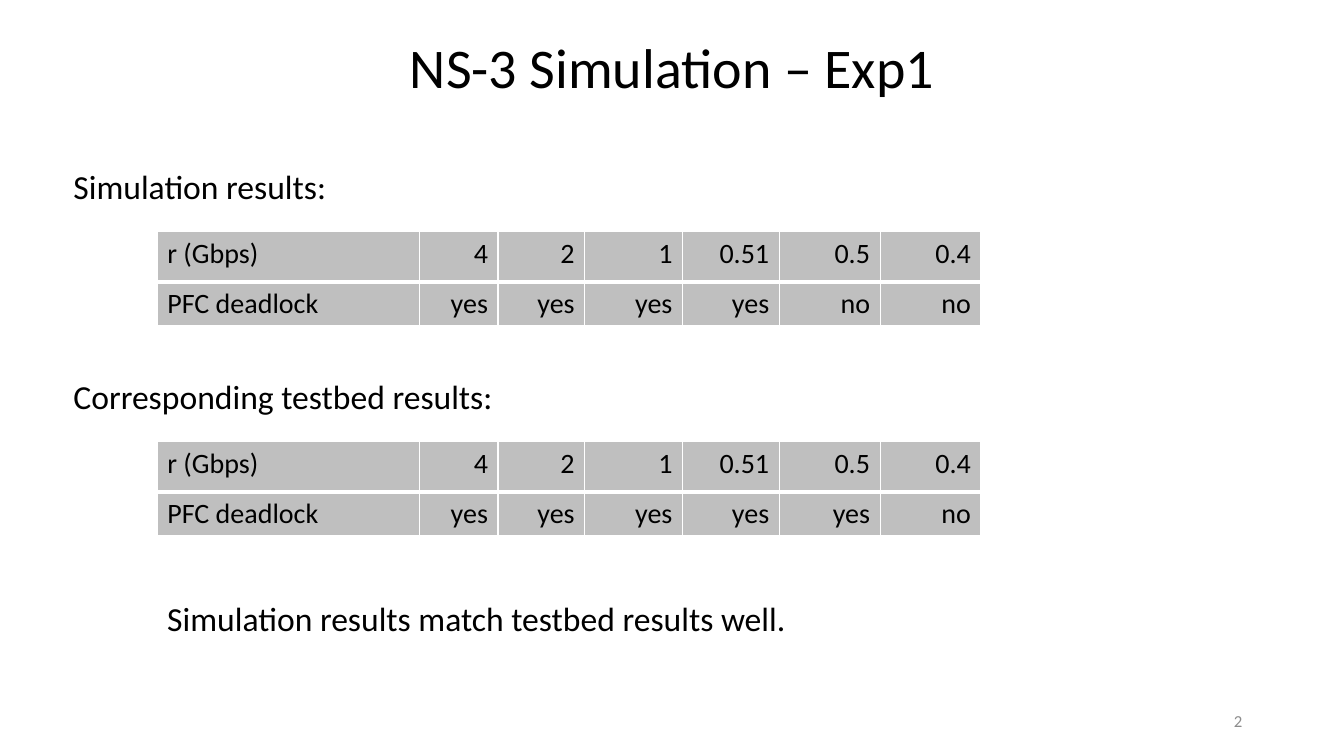
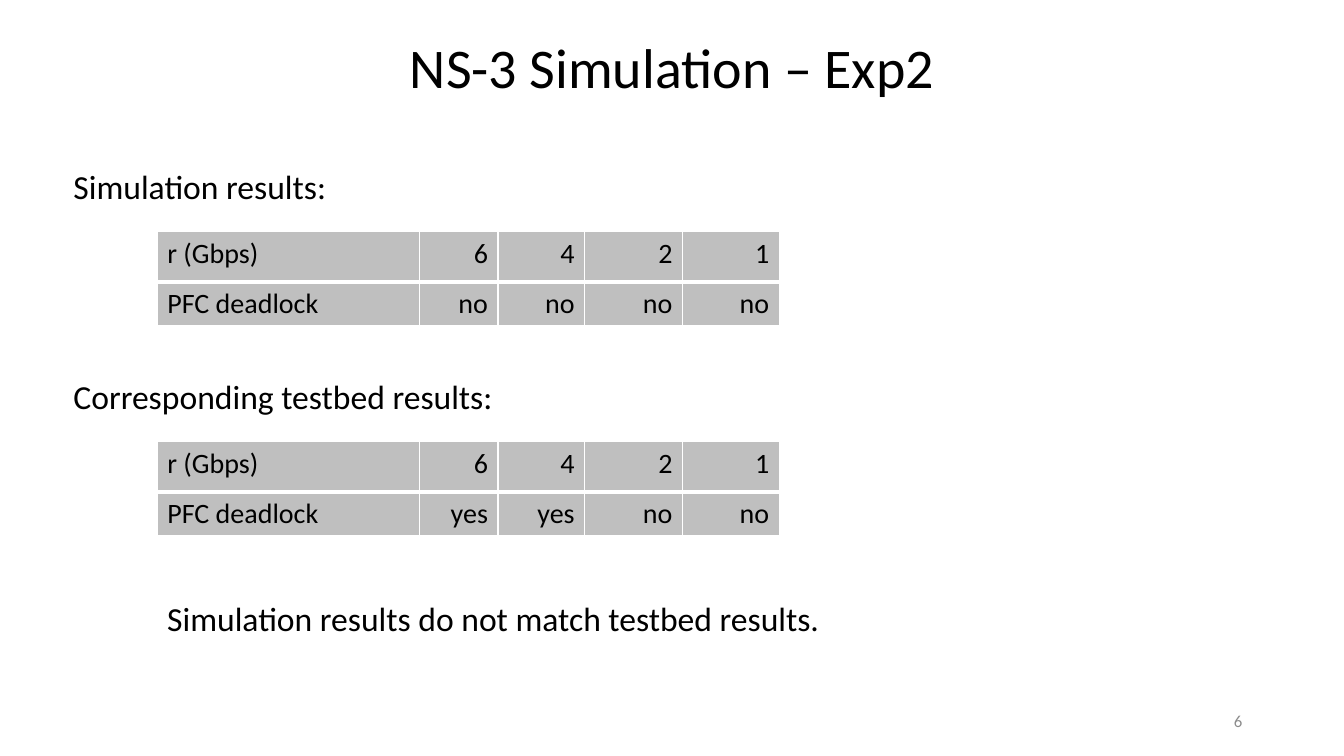
"""Build two slides that compare simulated and testbed deadlock results."""
import pptx
import pptx.dml.color
import pptx.enum.text
import pptx.oxml
import pptx.oxml.ns
import pptx.util

Inches = pptx.util.Inches
Pt = pptx.util.Pt
RGBColor = pptx.dml.color.RGBColor
Align = pptx.enum.text.PP_ALIGN
Anchor = pptx.enum.text.MSO_ANCHOR
AutoSize = pptx.enum.text.MSO_AUTO_SIZE

BLACK = RGBColor(0x00, 0x00, 0x00)
WHITE = RGBColor(0xFF, 0xFF, 0xFF)
CELL_GRAY = RGBColor(0xBF, 0xBF, 0xBF)
NUMBER_GRAY = RGBColor(0x8C, 0x8C, 0x8C)
FONT = "Calibri"
COLUMN_WIDTHS = [2.6, 0.78, 0.86, 0.97, 0.96, 1, 1]
ROW_HEIGHTS = [0.5, 0.43]


class Deck:
    """Hold the presentation, its style and the current slide."""

    def __init__(self):
        self.presentation = pptx.Presentation()
        self.presentation.slide_width = Inches(13.33)
        self.presentation.slide_height = Inches(7.5)
        self.slide = None

    def format_text(self, text_frame, text, size, color=BLACK, alignment=Align.LEFT):
        """Write one paragraph in the deck font."""
        text_frame.text = text
        paragraph = text_frame.paragraphs[0]
        paragraph.alignment = alignment
        paragraph.font.name = FONT
        paragraph.font.size = Pt(size)
        paragraph.font.color.rgb = color

    def add_slide(self, title, number):
        """Start a slide with its title and number."""
        layout = self.presentation.slide_layouts.get_by_name("Title Only")
        self.slide = self.presentation.slides.add_slide(layout)
        shape = self.slide.shapes.title
        shape.left, shape.top = Inches(1.72), Inches(0.27)
        shape.width, shape.height = Inches(9.89), Inches(0.77)
        shape.text_frame.vertical_anchor = Anchor.TOP
        shape.text_frame.auto_size = AutoSize.NONE
        self.format_text(shape.text_frame, title, 40, alignment=Align.CENTER)
        shape = self.slide.shapes.add_textbox(
            Inches(9.42), Inches(6.95), Inches(3), Inches(0.4))
        shape.text_frame.word_wrap = True
        shape.text_frame.vertical_anchor = Anchor.MIDDLE
        self.format_text(shape.text_frame, str(number), 12, NUMBER_GRAY, Align.RIGHT)

    def add_label(self, text, left, top, width):
        """Add a single line of body text."""
        shape = self.slide.shapes.add_textbox(
            Inches(left), Inches(top), Inches(width), Inches(0.5))
        shape.text_frame.word_wrap = False
        shape.text_frame.auto_size = AutoSize.SHAPE_TO_FIT_TEXT
        self.format_text(shape.text_frame, text, 24)

    def add_borders(self, cell, bottom_width):
        """Draw white lines on the four sides of a cell."""
        properties = cell._tc.get_or_add_tcPr()
        for side, width in (("L", 1), ("R", 1), ("T", 1), ("B", bottom_width)):
            properties.append(pptx.oxml.parse_xml(
                f'<a:ln{side} {pptx.oxml.ns.nsdecls("a")} w="{Pt(width)}">'
                f'<a:solidFill><a:srgbClr val="{WHITE}"/></a:solidFill></a:ln{side}>'))

    def add_results(self, top, rates, deadlocks):
        """Add a table of rates and their deadlock outcomes."""
        rows = [["r (Gbps)", *rates], ["PFC deadlock", *deadlocks]]
        widths = COLUMN_WIDTHS[:len(rows[0])]
        table = self.slide.shapes.add_table(
            len(rows), len(widths), Inches(1.56), Inches(top),
            Inches(sum(widths)), Inches(sum(ROW_HEIGHTS))).table
        table.first_row = False
        table.horz_banding = False
        for column, width in zip(table.columns, widths):
            column.width = Inches(width)
        for row_index, values in enumerate(rows):
            table.rows[row_index].height = Inches(ROW_HEIGHTS[row_index])
            for column_index, value in enumerate(values):
                cell = table.cell(row_index, column_index)
                self.add_borders(cell, 3 if row_index == 0 else 1)
                cell.fill.solid()
                cell.fill.fore_color.rgb = CELL_GRAY
                alignment = Align.RIGHT if column_index else Align.LEFT
                self.format_text(cell.text_frame, value, 20, alignment=alignment)

    def add_experiment(self, title, number, rates, simulated, measured, conclusion, width):
        """Build a slide that sets simulation against testbed."""
        self.add_slide(title, number)
        self.add_label("Simulation results:", 0.63, 1.6, 2.73)
        self.add_results(2.3, rates, simulated)
        self.add_label("Corresponding testbed results:", 0.63, 3.68, 4.4)
        self.add_results(4.38, rates, measured)
        self.add_label(conclusion, 1.56, 5.88, width)


deck = Deck()
deck.add_experiment(
    "NS-3 Simulation – Exp1", 2,
    ["4", "2", "1", "0.51", "0.5", "0.4"],
    ["yes", "yes", "yes", "yes", "no", "no"],
    ["yes", "yes", "yes", "yes", "yes", "no"],
    "Simulation results match testbed results well.", 6.39)
deck.add_experiment(
    "NS-3 Simulation – Exp2", 6,
    ["6", "4", "2", "1"],
    ["no", "no", "no", "no"],
    ["yes", "yes", "no", "no"],
    "Simulation results do not match testbed results.", 6.73)
deck.presentation.save("out.pptx")
